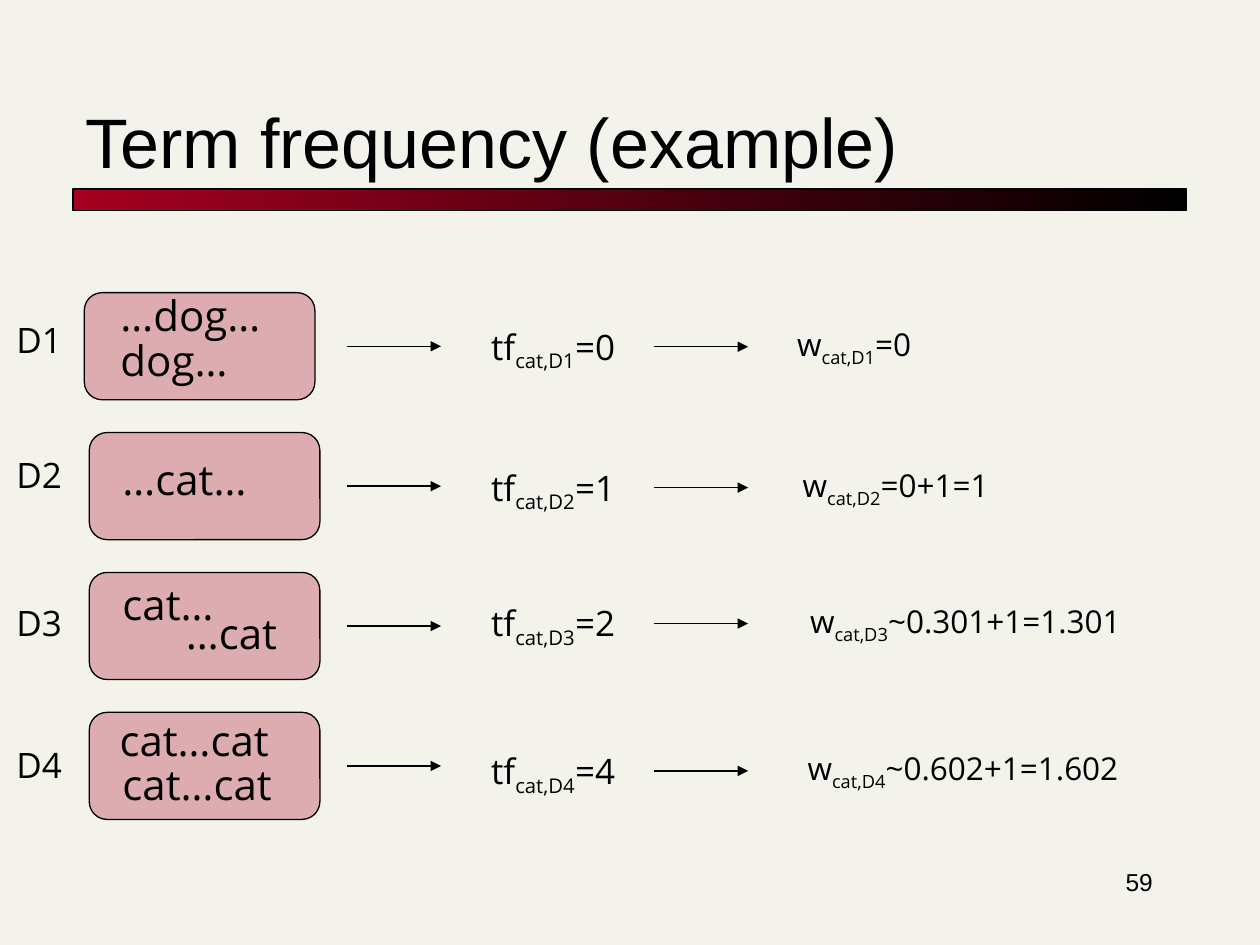
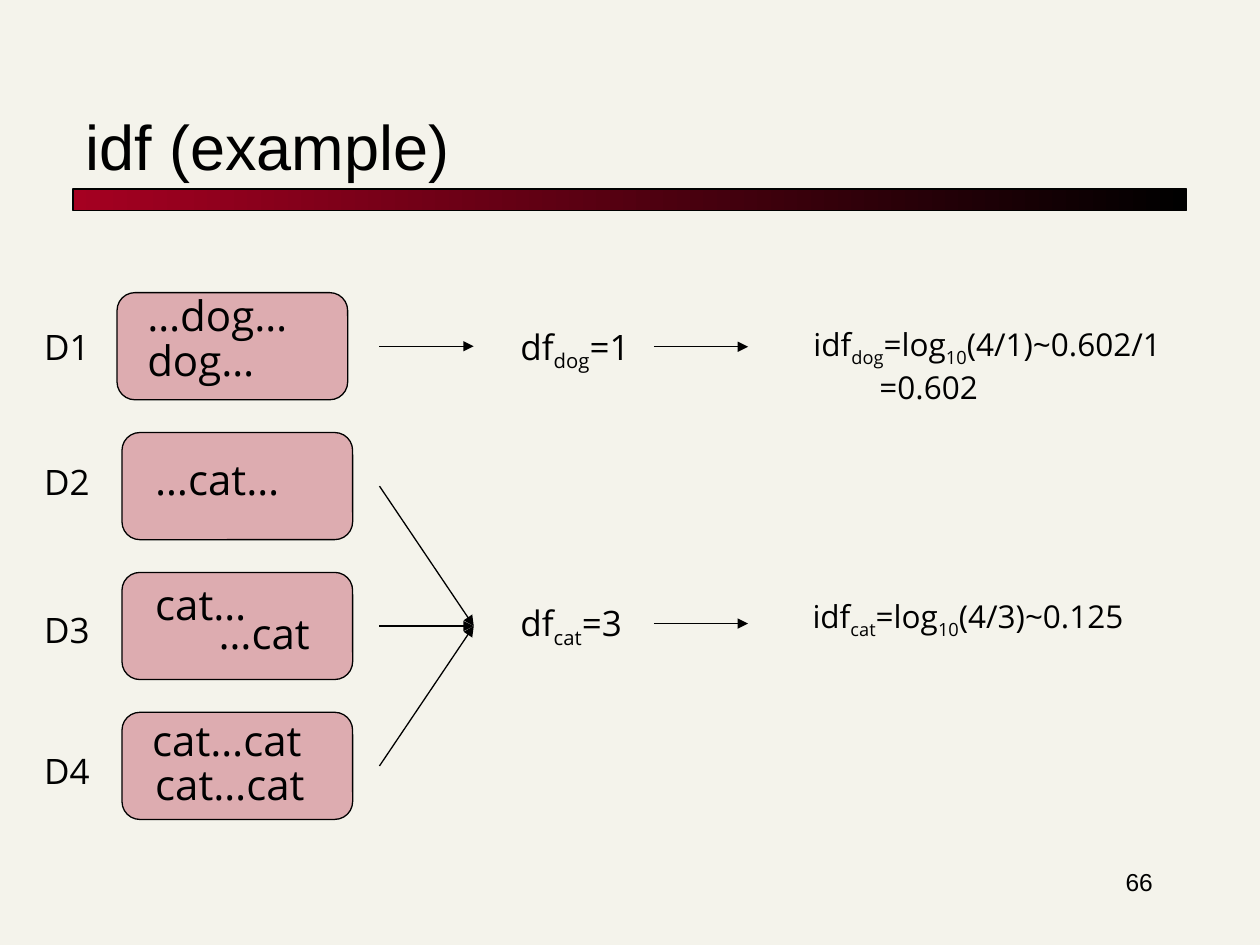
"""Build two slides that work through term frequency and idf on four small documents."""
import dataclasses

import pptx
import pptx.dml.color
import pptx.enum.shapes
import pptx.enum.text
import pptx.oxml
import pptx.oxml.ns
import pptx.util
from pptx.util import Cm, Pt


@dataclasses.dataclass(frozen=True)
class Theme:
    """Colours, fonts and type sizes."""
    paper: str = "F4F3EB"
    ink: str = "000000"
    accent: str = "A50021"
    title_font: str = "Arial"
    body_font: str = "Open Sans"
    number_size: int = 14
    document_size: int = 24
    count_size: int = 20
    result_size: int = 18
    line_width: float = 0.75
    box_opacity: int = 29000


THEME = Theme()

# Each word group: offset from the box column, offset from the row top, width, lines.
DOCUMENTS = [
    ("D1", [(0.38, -0.18, 3.94, ["…dog…", "dog…"])]),
    ("D2", [(0.42, 0.3, 3.6, ["…cat…"])]),
    ("D3", [(0.42, 0, 3.55, ["cat…"]), (1.7, 0.58, 2.97, ["…cat"])]),
    ("D4", [(0.36, -0.08, 4.2, ["cat…cat"]), (0.42, 0.81, 3.96, ["cat…cat"])]),
]

# Subscripts stand between bars. Steps: line height, count, result left, top, width, lines.
SLIDES = [
    {
        "title": "Term frequency (example)", "title_size": 40, "number": "59",
        "label_left": 0.08, "label_shift": 0, "box_left": 1.8, "dog_shift": 0,
        "arrow_left": 6.99, "arrow_targets": [0, 1, 2, 3], "count_left": 9.65,
        "steps": [
            (6.99, "tf|cat,D1|=0", 15.82, 6.43, 3.1, ["w|cat,D1|=0"]),
            (9.83, "tf|cat,D2|=1", 15.93, 9.27, 4.5, ["w|cat,D2|=0+1=1"]),
            (12.57, "tf|cat,D3|=2", 16.08, 12.01, 7, ["w|cat,D3|~0.301+1=1.301"]),
            (15.54, "tf|cat,D4|=4", 16.03, 14.98, 7, ["w|cat,D4|~0.602+1=1.602"]),
        ],
    },
    {
        "title": "idf (example)", "title_size": 36, "number": "66",
        "label_left": 0.64, "label_shift": 0.13, "box_left": 2.46, "dog_shift": -0.12,
        "arrow_left": 7.65, "arrow_targets": [0, 2, 2, 2], "count_left": 10.24,
        "steps": [
            (6.99, "df|dog|=1", 16.15, 6.43, 7.8, ["idf|dog|=log|10|(4/1)~0.602/1", "=0.602"]),
            (12.57, "df|cat|=3", 16.13, 11.91, 7, ["idf|cat|=log|10|(4/3)~0.125"]),
        ],
    },
]

LABEL_TOPS = [6.3, 9.02, 12.01, 14.86]
ROW_TOP, ROW_PITCH = 5.9, 2.82
BOX_WIDTH, BOX_HEIGHT = 4.65, 2.16
ARROW_LENGTH, RESULT_ARROW_LEFT = 1.9, 13.18
SECOND_LINE_INDENT = 1.33


def color(value):
    """Return an RGB colour."""
    return pptx.dml.color.RGBColor.from_string(value)


def style_font(font, name, size):
    """Apply typeface, size and ink."""
    font.name, font.size = name, Pt(size)
    font.color.rgb = color(THEME.ink)


def style_line(line):
    """Apply the thin black outline."""
    line.color.rgb = color(THEME.ink)
    line.width = Pt(THEME.line_width)


def add_text(slide, left, top, width, lines, size, name=THEME.body_font):
    """Add a text box whose lines may hold subscripts between bars."""
    height = 0.25 + len(lines) * size * 0.048
    shape = slide.shapes.add_textbox(Cm(left), Cm(top), Cm(width), Cm(height))
    frame = shape.text_frame
    frame.word_wrap = True
    for index, line in enumerate(lines):
        paragraph = frame.add_paragraph() if index else frame.paragraphs[0]
        for position, part in enumerate(line.split("|")):
            run = paragraph.add_run()
            run.text = part
            style_font(run.font, name, size)
            if position % 2:
                run._r.get_or_add_rPr().set("baseline", "-25000")
    return frame


def add_arrow(slide, left, top, end_top):
    """Add an arrow that runs one arrow length to the right."""
    connector = slide.shapes.add_connector(
        pptx.enum.shapes.MSO_CONNECTOR.STRAIGHT,
        Cm(left), Cm(top), Cm(left + ARROW_LENGTH), Cm(end_top))
    style_line(connector.line)
    properties = connector._element.spPr
    outline = properties.find(pptx.oxml.ns.qn("a:ln"))
    namespace = pptx.oxml.ns.nsdecls("a")
    outline.append(pptx.oxml.parse_xml(f'<a:tailEnd {namespace} type="triangle"/>'))
    properties.append(pptx.oxml.parse_xml(f"<a:effectLst {namespace}/>"))


def add_frame(slide, content):
    """Add the title, the gradient band and the slide number."""
    band = slide.shapes.add_shape(
        pptx.enum.shapes.MSO_SHAPE.RECTANGLE, Cm(1.47), Cm(3.81), Cm(22.45), Cm(0.43))
    band.shadow.inherit = False
    band.fill.gradient()
    band.fill.gradient_angle = 0
    for stop, position, value in zip(band.fill.gradient_stops, (0, 1), (THEME.accent, THEME.ink)):
        stop.position, stop.color.rgb = position, color(value)
    style_line(band.line)

    title = slide.shapes.title
    title.left, title.top, title.width, title.height = Cm(1.47), Cm(1.07), Cm(22.43), Cm(2.74)
    frame = title.text_frame
    frame.text = content["title"]
    frame.auto_size = pptx.enum.text.MSO_AUTO_SIZE.NONE
    frame.vertical_anchor = pptx.enum.text.MSO_ANCHOR.BOTTOM
    frame.paragraphs[0].alignment = pptx.enum.text.PP_ALIGN.LEFT
    style_font(frame.paragraphs[0].runs[0].font, THEME.title_font, content["title_size"])

    number = add_text(slide, 18.21, 17.35, 5.28, [content["number"]],
                      THEME.number_size, THEME.title_font)
    number.paragraphs[0].alignment = pptx.enum.text.PP_ALIGN.RIGHT


def add_document(slide, content, row):
    """Add one document's label, box, words and outgoing arrow."""
    label, words = DOCUMENTS[row]
    top = ROW_TOP + row * ROW_PITCH
    box_left = content["box_left"]
    first_shift = 0 if row else -0.1
    box = slide.shapes.add_shape(
        pptx.enum.shapes.MSO_SHAPE.ROUNDED_RECTANGLE,
        Cm(box_left + first_shift), Cm(top), Cm(BOX_WIDTH), Cm(BOX_HEIGHT))
    box.shadow.inherit = False
    box.fill.solid()
    box.fill.fore_color.rgb = color(THEME.accent)
    fill_color = box._element.spPr.find(".//" + pptx.oxml.ns.qn("a:srgbClr"))
    fill_color.append(pptx.oxml.parse_xml(
        f'<a:alpha {pptx.oxml.ns.nsdecls("a")} val="{THEME.box_opacity}"/>'))
    style_line(box.line)

    for shift, drop, width, lines in words:
        extra = 0 if row else content["dog_shift"]
        frame = add_text(slide, box_left + shift + extra, top + drop, width, lines,
                         THEME.document_size)
        for paragraph in frame.paragraphs[1:]:
            paragraph.line_spacing = 0.9
    add_text(slide, content["label_left"], LABEL_TOPS[row] + content["label_shift"], 1.5,
             [label], THEME.count_size)
    target_top = ROW_TOP + content["arrow_targets"][row] * ROW_PITCH
    add_arrow(slide, content["arrow_left"], top + BOX_HEIGHT / 2, target_top + BOX_HEIGHT / 2)


def add_step(slide, content, step):
    """Add a count, its arrow and the resulting weight."""
    middle, count, left, top, width, lines = step
    add_text(slide, content["count_left"], middle - 0.56, 3.15, [count], THEME.count_size)
    add_arrow(slide, RESULT_ARROW_LEFT, middle, middle)
    frame = add_text(slide, left, top, width, lines, THEME.result_size)
    for paragraph in frame.paragraphs[1:]:
        paragraph._p.get_or_add_pPr().set("marL", str(Cm(SECOND_LINE_INDENT)))


def main():
    """Build and save the presentation."""
    presentation = pptx.Presentation()
    presentation.slide_width, presentation.slide_height = Cm(25.4), Cm(19.05)
    background = presentation.slide_master.background.fill
    background.solid()
    background.fore_color.rgb = color(THEME.paper)
    for content in SLIDES:
        slide = presentation.slides.add_slide(presentation.slide_layouts[5])
        add_frame(slide, content)
        for row in range(len(DOCUMENTS)):
            add_document(slide, content, row)
        for step in content["steps"]:
            add_step(slide, content, step)
    presentation.save("out.pptx")


if __name__ == "__main__":
    main()
